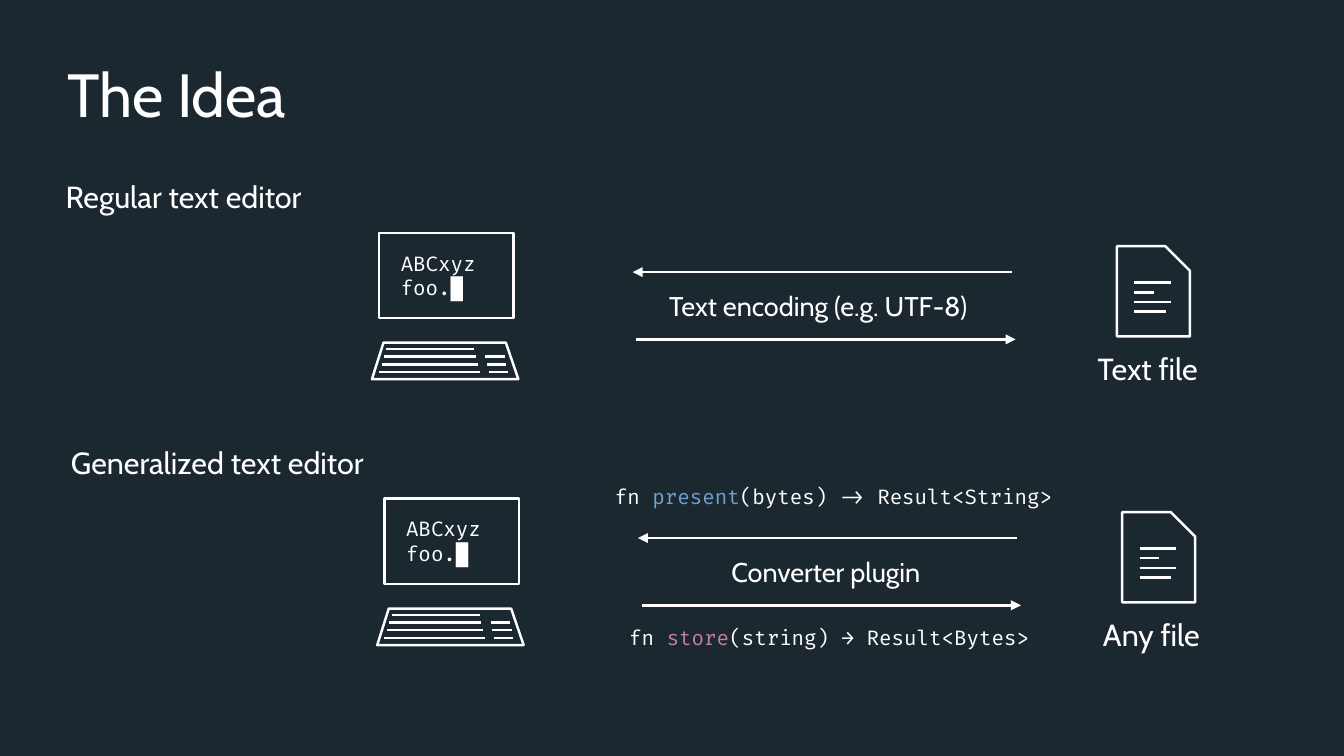
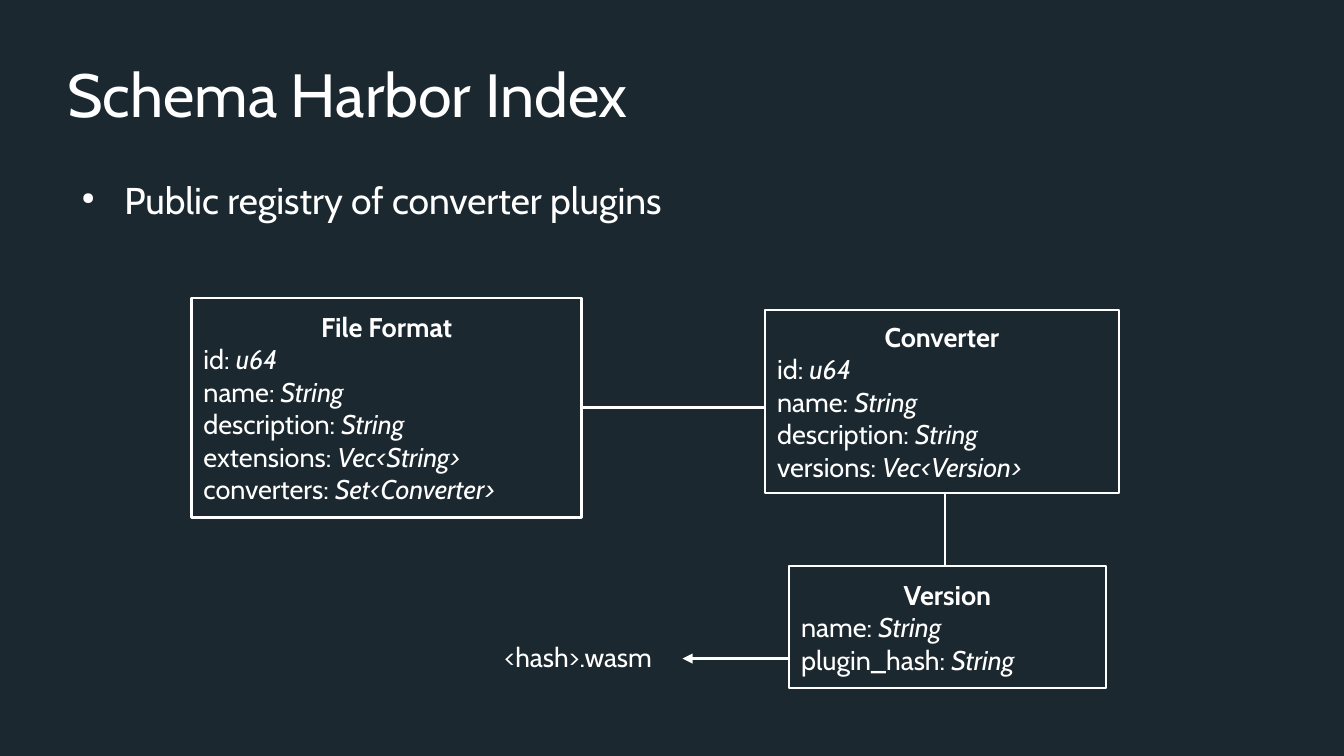
from dataclasses import dataclass
from typing import Any

from lxml.etree import SubElement
from pptx import Presentation
from pptx.dml.color import RGBColor
from pptx.enum.shapes import MSO_CONNECTOR, MSO_SHAPE
from pptx.enum.text import MSO_ANCHOR, PP_ALIGN
from pptx.oxml.ns import qn
from pptx.slide import Slide
from pptx.util import Cm, Pt


@dataclass(frozen=True)
class Theme:
    background: RGBColor = RGBColor(0x1C, 0x28, 0x2F)
    ink: RGBColor = RGBColor(0xFF, 0xFF, 0xFF)
    present: RGBColor = RGBColor(0x72, 0x9F, 0xCF)
    store: RGBColor = RGBColor(0xBF, 0x81, 0x9E)
    font: str = "Cabin"
    code_font: str = "Fira Code"
    title_size: float = 36
    bullet_size: float = 22
    label_size: float = 18
    body_size: float = 16
    code_size: float = 12
    line_width: float = 1.45


THEME = Theme()


@dataclass(frozen=True)
class Span:
    text: str
    color: RGBColor = THEME.ink
    bold: bool = False
    italic: bool = False


@dataclass(frozen=True)
class Area:
    left: float
    top: float
    width: float
    height: float

    def lengths(self) -> tuple[Cm, Cm, Cm, Cm]:
        return Cm(self.left), Cm(self.top), Cm(self.width), Cm(self.height)


@dataclass(frozen=True)
class Point:
    x: float
    y: float

    def shift(self, x: float, y: float) -> "Point":
        return Point(self.x + x, self.y + y)

    def area(self, x: float, y: float, width: float, height: float) -> Area:
        return Area(self.x + x, self.y + y, width, height)


@dataclass(frozen=True)
class Signature:
    x: float
    y: float
    spans: tuple[Span, ...]


@dataclass(frozen=True)
class Editor:
    origin: Point
    heading: str
    channel: str
    channel_x: float
    file_label: str
    signatures: tuple[Signature, ...] = ()


@dataclass(frozen=True)
class Entity:
    area: Area
    name: str
    fields: tuple[tuple[str, str], ...]


EDITORS = (
    Editor(Point(7.9, 4.85), "Regular text editor", "Text encoding (e.g. UTF-8)", 5.79, "Text file"),
    Editor(
        Point(8.01, 10.39), "Generalized text editor", "Converter plugin", 6.98, "Any file",
        (
            Signature(4.55, -0.43, (Span("fn "), Span("present", THEME.present),
                                    Span("(bytes) -> Result<String>"))),
            Signature(4.85, 2.52, (Span("fn "), Span("store", THEME.store),
                                   Span("(string) → Result<Bytes>"))),
        ),
    ),
)

ENTITIES = (
    Entity(Area(3.99, 6.21, 8.13, 4.57), "File Format",
           (("id", "u64"), ("name", "String"), ("description", "String"),
            ("extensions", "Vec<String>"), ("converters", "Set<Converter>"))),
    Entity(Area(15.94, 6.46, 7.37, 3.81), "Converter",
           (("id", "u64"), ("name", "String"), ("description", "String"),
            ("versions", "Vec<Version>"))),
    Entity(Area(16.44, 11.79, 6.6, 2.54), "Version",
           (("name", "String"), ("plugin_hash", "String"))),
)


def write(frame: Any, lines: list[tuple[Span, ...]], size: float, font: str = THEME.font) -> None:
    frame.word_wrap = True
    frame.text = "\n".join(line[0].text for line in lines)
    for para, line in zip(frame.paragraphs, lines):
        para.alignment = PP_ALIGN.LEFT
        for extra in line[1:]:
            para.add_run().text = extra.text
        for run, span in zip(para.runs, line):
            run.font.name = font
            run.font.size = Pt(size)
            run.font.color.rgb = span.color
            run.font.bold = span.bold
            run.font.italic = span.italic


def add_text(shapes: Any, area: Area, lines: list[tuple[Span, ...]], size: float,
             font: str = THEME.font, inset: bool = True) -> Any:
    frame = shapes.add_textbox(*area.lengths()).text_frame
    if not inset:
        frame.margin_left = frame.margin_right = frame.margin_top = frame.margin_bottom = 0
    write(frame, lines, size, font)
    return frame


def outline(shape: Any) -> None:
    shape.shadow.inherit = False
    shape.fill.background()
    shape.line.color.rgb = THEME.ink
    shape.line.width = Pt(THEME.line_width)


def add_rectangle(shapes: Any, area: Area) -> Any:
    box = shapes.add_shape(MSO_SHAPE.RECTANGLE, *area.lengths())
    outline(box)
    return box


def add_polygon(shapes: Any, points: list[Point]) -> None:
    corners = [(Cm(point.x), Cm(point.y)) for point in points]
    builder = shapes.build_freeform(*corners[0])
    builder.add_line_segments(corners[1:], close=True)
    outline(builder.convert_to_shape())


def add_line(shapes: Any, start: Point, end: Point, arrow: bool = False) -> None:
    connector = shapes.add_connector(
        MSO_CONNECTOR.STRAIGHT, Cm(start.x), Cm(start.y), Cm(end.x), Cm(end.y))
    connector.line.color.rgb = THEME.ink
    connector.line.width = Pt(THEME.line_width)
    properties = connector.element.spPr
    if arrow:
        SubElement(properties.find(qn("a:ln")), qn("a:tailEnd"), type="triangle")
    SubElement(properties, qn("a:effectLst"))


def draw_computer(slide: Slide, origin: Point) -> None:
    shapes = slide.shapes.add_group_shape().shapes
    add_polygon(shapes, [origin.shift(-0.15, 3.05), origin.shift(2.9, 3.05),
                         origin.shift(2.64, 2.29), origin.shift(0.09, 2.29)])
    for row in range(4):
        y = 2.42 + 0.16 * row
        add_line(shapes, origin.shift(0.15 - 0.05 * row, y), origin.shift(1.98 + 0.04 * row, y))
        if row:
            add_line(shapes, origin.shift(2.17 + 0.04 * row, y), origin.shift(2.59 + 0.03 * row, y))
    add_text(shapes, origin.area(0.2, 0.25, 2.4, 1.3), [(Span("ABCxyz"),), (Span("foo.█"),)],
             THEME.code_size, THEME.code_font)
    add_rectangle(shapes, origin.area(0, 0, 2.8, 1.78))


def draw_file(slide: Slide, corner: Point) -> None:
    shapes = slide.shapes.add_group_shape().shapes
    width, height, fold = 1.52, 1.88, 0.51
    add_polygon(shapes, [corner, corner.shift(width - fold, 0), corner.shift(width, fold),
                         corner.shift(width, height), corner.shift(0, height)])
    for row, length in enumerate((0.76, 0.41, 0.76, 0.66)):
        start = corner.shift(0.36, 0.76 + 0.2 * row)
        add_line(shapes, start, start.shift(length, 0))


def draw_exchange(slide: Slide, origin: Point) -> None:
    shapes = slide.shapes.add_group_shape().shapes
    length = 7.9
    reading, writing = origin.shift(5.28, 0.82), origin.shift(5.36, 2.22)
    add_line(shapes, reading.shift(length, 0), reading, arrow=True)
    add_line(shapes, writing, writing.shift(length, 0), arrow=True)


def draw_editor(slide: Slide, editor: Editor) -> None:
    origin = editor.origin
    draw_computer(slide, origin)
    draw_file(slide, origin.shift(15.37, 0.28))
    draw_exchange(slide, origin)
    add_text(slide.shapes, origin.area(14.72, 2.31, 2.8, 1.12), [(Span(editor.file_label),)],
             THEME.label_size)
    add_text(slide.shapes, origin.area(-6.78, -1.26, 7.32, 1.12), [(Span(editor.heading),)],
             THEME.label_size)
    add_text(slide.shapes, origin.area(editor.channel_x, 1.06, 7.32, 1.02),
             [(Span(editor.channel),)], THEME.body_size)
    for signature in editor.signatures:
        add_text(slide.shapes, origin.area(signature.x, signature.y, 9.68, 1.02),
                 [signature.spans], THEME.code_size, THEME.code_font)


def draw_entity(slide: Slide, entity: Entity) -> None:
    frame = add_rectangle(slide.shapes, entity.area).text_frame
    frame.vertical_anchor = MSO_ANCHOR.MIDDLE
    fields = [(Span(f"{name}: "), Span(kind, italic=True)) for name, kind in entity.fields]
    write(frame, [(Span(entity.name, bold=True),), *fields], THEME.body_size)
    frame.paragraphs[0].alignment = PP_ALIGN.CENTER


def draw_bullet(slide: Slide, text: str) -> None:
    frame = add_text(slide.shapes, Area(1.4, 3.7, 25.2, 2.41), [(Span(text),)],
                     THEME.bullet_size, inset=False)
    para = frame.paragraphs[0]
    para.space_before = Pt(14.1)
    properties = para._p.get_or_add_pPr()
    properties.set("marL", str(Cm(1.19)))
    properties.set("indent", str(Cm(-0.89)))
    color = SubElement(properties, qn("a:buClr"))
    SubElement(color, qn("a:srgbClr"), val=str(THEME.ink))
    SubElement(properties, qn("a:buSzPct"), val="45000")
    SubElement(properties, qn("a:buChar"), char="●")


def add_slide(deck: Any, title: str) -> Slide:
    slide = deck.slides.add_slide(deck.slide_layouts[6])
    frame = add_text(slide.shapes, Area(1.4, 0.63, 25.2, 2.63), [(Span(title),)],
                     THEME.title_size, inset=False)
    frame.vertical_anchor = MSO_ANCHOR.MIDDLE
    return slide


def build_idea(deck: Any) -> None:
    slide = add_slide(deck, "The Idea")
    for editor in EDITORS:
        draw_editor(slide, editor)


def build_index(deck: Any) -> None:
    slide = add_slide(deck, "Schema Harbor Index")
    draw_bullet(slide, "Public registry of converter plugins")
    for entity in ENTITIES:
        draw_entity(slide, entity)
    file_format, converter, version = (entity.area for entity in ENTITIES)
    add_line(slide.shapes, Point(file_format.left + file_format.width, 8.49),
             Point(converter.left, 8.49))
    add_line(slide.shapes, Point(19.69, converter.top + converter.height),
             Point(19.69, version.top))
    add_line(slide.shapes, Point(version.left, 13.72), Point(14.22, 13.72), arrow=True)
    add_text(slide.shapes, Area(10.26, 13.21, 3.81, 1.78), [(Span("<hash>.wasm"),)],
             THEME.body_size)


def main() -> None:
    deck = Presentation()
    deck.slide_width, deck.slide_height = Cm(28), Cm(15.75)
    fill = deck.slide_master.background.fill
    fill.solid()
    fill.fore_color.rgb = THEME.background
    build_idea(deck)
    build_index(deck)
    deck.save("out.pptx")


if __name__ == "__main__":
    main()
